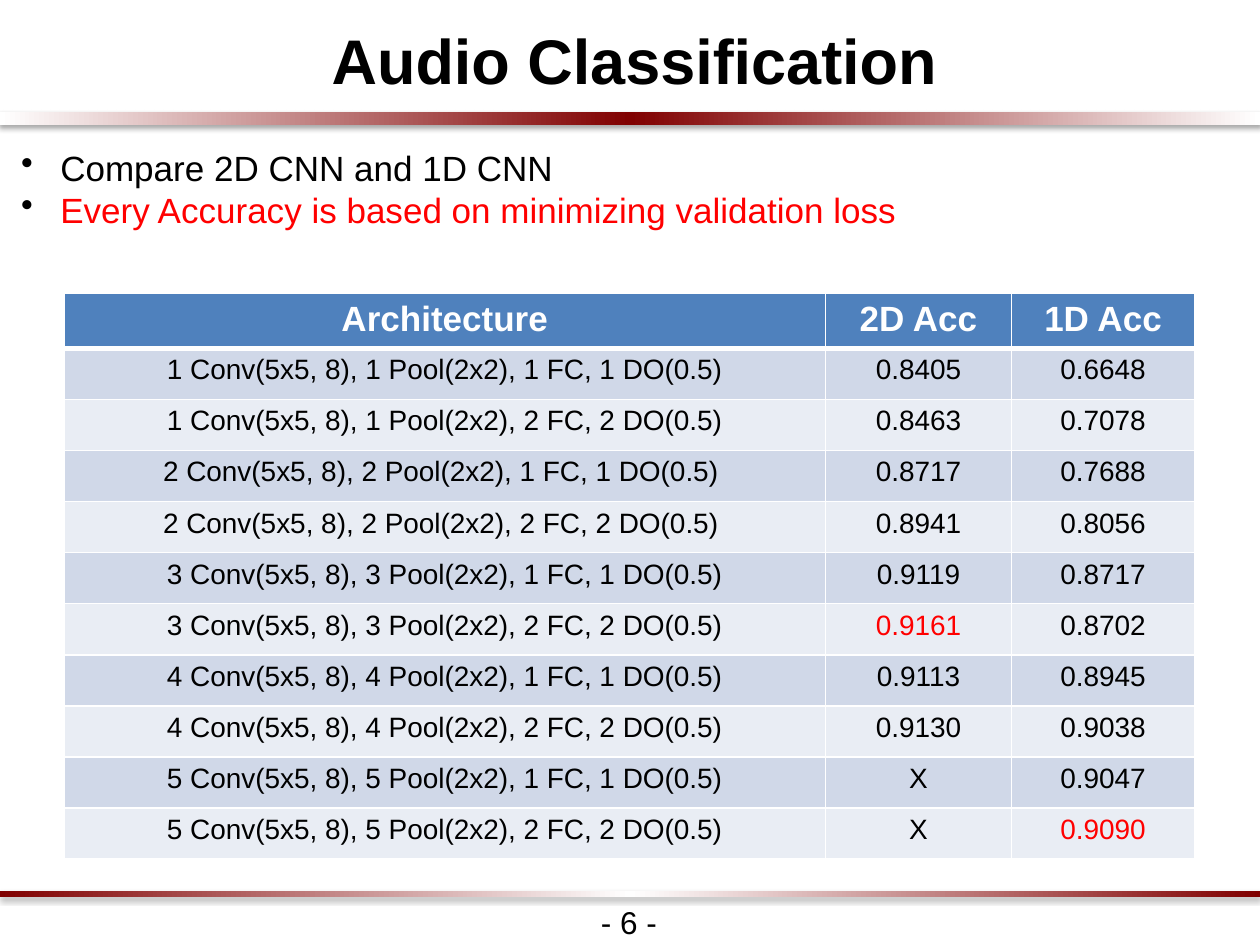
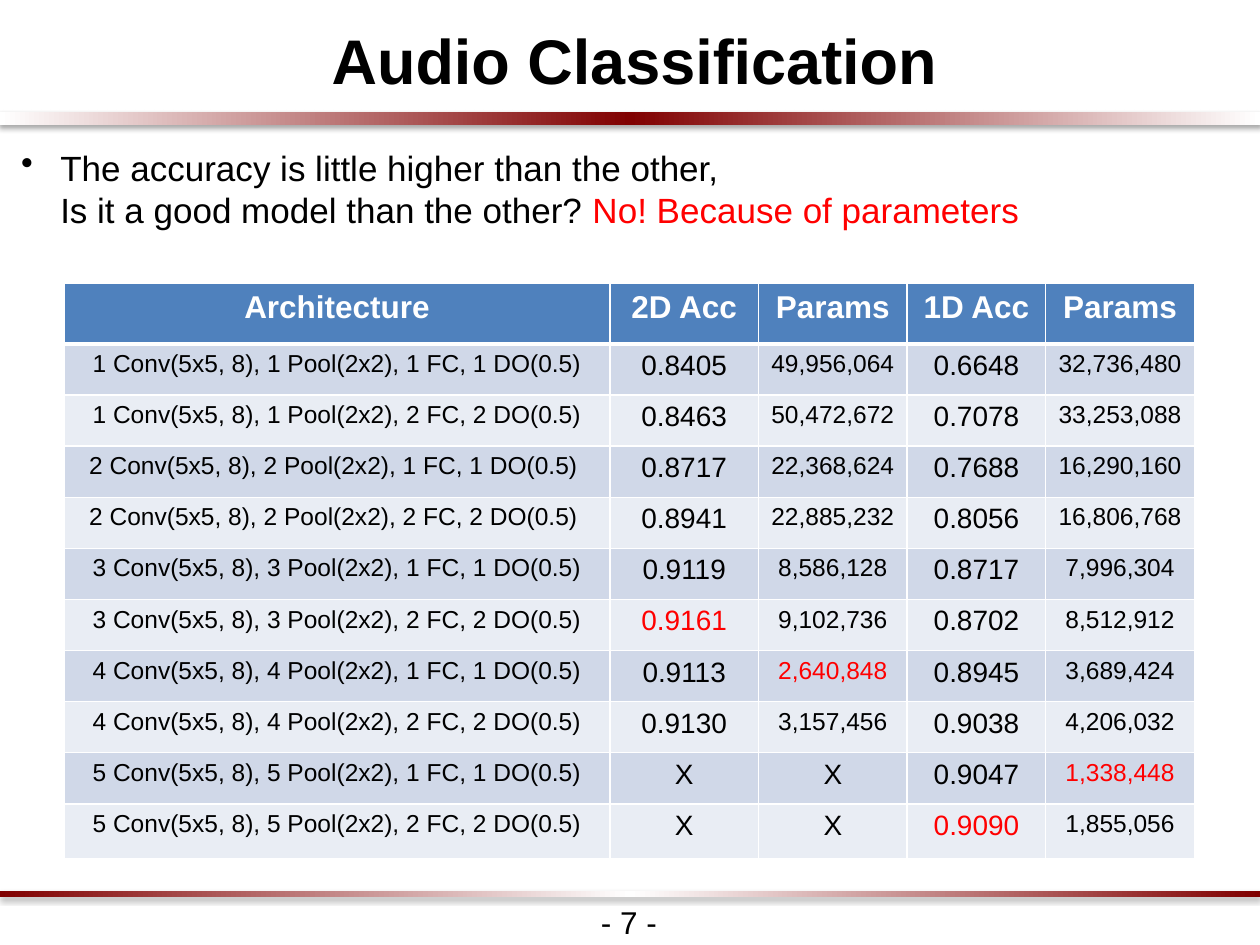
from pptx import Presentation
from pptx.dml.color import RGBColor
from pptx.enum.shapes import MSO_SHAPE
from pptx.enum.text import MSO_ANCHOR, PP_ALIGN
from pptx.oxml import parse_xml
from pptx.oxml.ns import nsdecls
from pptx.util import Inches, Pt

COLORS = {
    "black": "000000", "white": "FFFFFF", "red": "FF0000", "maroon": "800000",
    "head": "4F81BD", "odd": "D0D8E8", "even": "E9EDF4",
}
FONT = "Arial"
COLS, ROWS = 100, 75
UNIT = Inches(10) // COLS

TITLE_BOX = (-2.3, 0.3, 104.5, 7.9)
TOP_BAND = (0, 8.9, COLS, 1)
BOTTOM_BAND = (0, 70.7, COLS, 0.5)
PAGE_BOX = (46.7, 71.2, 6.5, 4)
BULLET_BOX = (0.7, 11.1, 94.2, 9.9)

ARCHITECTURES = [
    f"{n} Conv(5x5, 8), {n} Pool(2x2), {fc} FC, {fc} DO(0.5)" + (" " if n == 2 else "")
    for n in range(1, 6) for fc in (1, 2)
]
ACC_2D = ["0.8405", "0.8463", "0.8717", "0.8941", "0.9119",
          "0.9161", "0.9113", "0.9130", "X", "X"]
ACC_1D = ["0.6648", "0.7078", "0.7688", "0.8056", "0.8717",
          "0.8702", "0.8945", "0.9038", "0.9047", "0.9090"]
PARAMS_2D = ["49,956,064", "50,472,672", "22,368,624", "22,885,232", "8,586,128",
             "9,102,736", "2,640,848", "3,157,456", "X", "X"]
PARAMS_1D = ["32,736,480", "33,253,088", "16,290,160", "16,806,768", "7,996,304",
             "8,512,912", "3,689,424", "4,206,032", "1,338,448", "1,855,056"]
BEST = {"0.9161", "0.9090", "2,640,848", "1,338,448"}


def units(*lengths):
    """Turn grid lengths into EMU."""
    return [round(length * UNIT) for length in lengths]


def style(r, size, color="black", bold=False):
    """Format one run."""
    r.font.name, r.font.size, r.font.bold = FONT, Pt(size), bold
    r.font.color.rgb = RGBColor.from_string(COLORS[color])


def add_band(s, box, edge, middle):
    """Add a shadowed bar that fades from edge to middle and back."""
    sp = s.shapes.add_shape(MSO_SHAPE.RECTANGLE, *units(*box))
    stops = "".join(
        f'<a:gs pos="{pos}"><a:srgbClr val="{COLORS[name]}"/></a:gs>'
        for pos, name in ((0, edge), (50000, middle), (100000, edge)))
    sp._element.spPr.append(parse_xml(
        f'<a:gradFill {nsdecls("a")}><a:gsLst>{stops}</a:gsLst>'
        '<a:lin ang="0" scaled="0"/></a:gradFill>'))
    sp.line.fill.background()
    sp.shadow.inherit = False
    sp._element.spPr[-1].append(parse_xml(
        f'<a:outerShdw {nsdecls("a")} blurRad="{Pt(3.1)}" dist="{Pt(1.8)}" dir="5400000" '
        f'rotWithShape="0"><a:srgbClr val="{COLORS["black"]}">'
        '<a:alpha val="35000"/></a:srgbClr></a:outerShdw>'))


def add_title(s, box, text):
    """Add the centred slide title."""
    tf = s.shapes.add_textbox(*units(*box)).text_frame
    tf.word_wrap, tf.vertical_anchor = True, MSO_ANCHOR.MIDDLE
    tf.margin_top = tf.margin_bottom = UNIT
    p = tf.paragraphs[0]
    p.text, p.alignment, p.line_spacing = text, PP_ALIGN.CENTER, 1.15
    p._p.get_or_add_pPr().set("marL", str(Inches(0.08)))
    style(p.runs[0], 36, bold=True)


def add_page_number(s, box, number):
    """Add the page number under the bottom band."""
    tf = s.shapes.add_textbox(*units(*box)).text_frame
    tf.word_wrap = False
    tf.text = f"- {number} -"
    style(tf.paragraphs[0].runs[0], 18)


def add_bullets(s, box, bullets):
    """Add bullets, each a list of (text, colour) parts."""
    tf = s.shapes.add_textbox(*units(*box)).text_frame
    tf.word_wrap = True
    for i, parts in enumerate(bullets):
        p = tf.add_paragraph() if i else tf.paragraphs[0]
        pPr = p._p.get_or_add_pPr()
        pPr.set("marL", str(Inches(0.31)))
        pPr.set("indent", str(-Inches(0.31)))
        pPr.append(parse_xml(f'<a:buClr {nsdecls("a")}><a:srgbClr val="{COLORS["black"]}"/></a:buClr>'))
        pPr.append(parse_xml(f'<a:buChar {nsdecls("a")} char="•"/>'))
        for text, color in parts:
            for j, line in enumerate(text.split("\n")):
                if j:
                    p.add_line_break()
                r = p.add_run()
                r.text = line
                style(r, 20, color)


def fill_cell(cell, text, size, color, fill, bold=False, top=1, bottom=1):
    """Write one centred cell with white borders."""
    tcPr = cell._tc.get_or_add_tcPr()
    for side, width in (("L", 1), ("R", 1), ("T", top), ("B", bottom)):
        tcPr.append(parse_xml(
            f'<a:ln{side} {nsdecls("a")} w="{Pt(width)}"><a:solidFill>'
            f'<a:srgbClr val="{COLORS["white"]}"/></a:solidFill></a:ln{side}>'))
    cell.fill.solid()
    cell.fill.fore_color.rgb = RGBColor.from_string(COLORS[fill])
    p = cell.text_frame.paragraphs[0]
    p.text, p.alignment = text, PP_ALIGN.CENTER
    style(p.runs[0], size, color, bold)


def add_results(s, box, columns, head_size, head_row, last_row):
    """Add the table; columns hold (heading, width, size, values)."""
    count = len(ARCHITECTURES) + 1
    table = s.shapes.add_table(count, len(columns), *units(*box)).table
    body_row = (box[3] - head_row - last_row) / (count - 2)
    heights = [head_row] + [body_row] * (count - 2) + [last_row]
    for row, height in zip(table.rows, units(*heights)):
        row.height = height
    for c, (heading, width, size, values) in enumerate(columns):
        table.columns[c].width = units(width)[0]
        fill_cell(table.cell(0, c), heading, head_size, "white", "head", bold=True, bottom=3)
        for i, value in enumerate(values, 1):
            value_size = 16 if value == "X" else size
            fill_cell(table.cell(i, c), value, value_size, "red" if value in BEST else "black",
                      "odd" if i % 2 else "even", top=3 if i == 1 else 1)


def add_content_slide(prs, number, bullets, **results):
    """Add one slide with title, bands, bullets, table and page number."""
    s = prs.slides.add_slide(prs.slide_layouts[6])
    add_band(s, TOP_BAND, "white", "maroon")
    add_band(s, BOTTOM_BAND, "maroon", "white")
    add_title(s, TITLE_BOX, "Audio Classification")
    add_bullets(s, BULLET_BOX, bullets)
    add_results(s, **results)
    add_page_number(s, PAGE_BOX, number)


def main():
    """Build both slides and save them."""
    prs = Presentation()
    prs.slide_width, prs.slide_height = COLS * UNIT, ROWS * UNIT
    add_content_slide(
        prs, 6,
        [[("Compare 2D CNN and 1D CNN", "black")],
         [("Every Accuracy is based on minimizing validation loss", "red")]],
        box=(5.1, 23.3, 89.8, 44.6), head_size=20, head_row=4.05, last_row=4.05,
        columns=[("Architecture", 60.4, 16, ARCHITECTURES),
                 ("2D Acc", 14.8, 16, ACC_2D),
                 ("1D Acc", 14.5, 16, ACC_1D)])
    add_content_slide(
        prs, 7,
        [[("The accuracy is little higher than the other, \n"
           "Is it a good model than the other? ", "black"),
          ("No! Because of parameters", "red")]],
        box=(5.1, 22.5, 89.8, 45.7), head_size=18, head_row=4.8, last_row=4.4,
        columns=[("Architecture", 43.3, 14, ARCHITECTURES),
                 ("2D Acc", 11.8, 16, ACC_2D),
                 ("Params", 11.8, 14, PARAMS_2D),
                 ("1D Acc", 11, 16, ACC_1D),
                 ("Params", 11.8, 14, PARAMS_1D)])
    prs.save("out.pptx")


if __name__ == "__main__":
    main()
